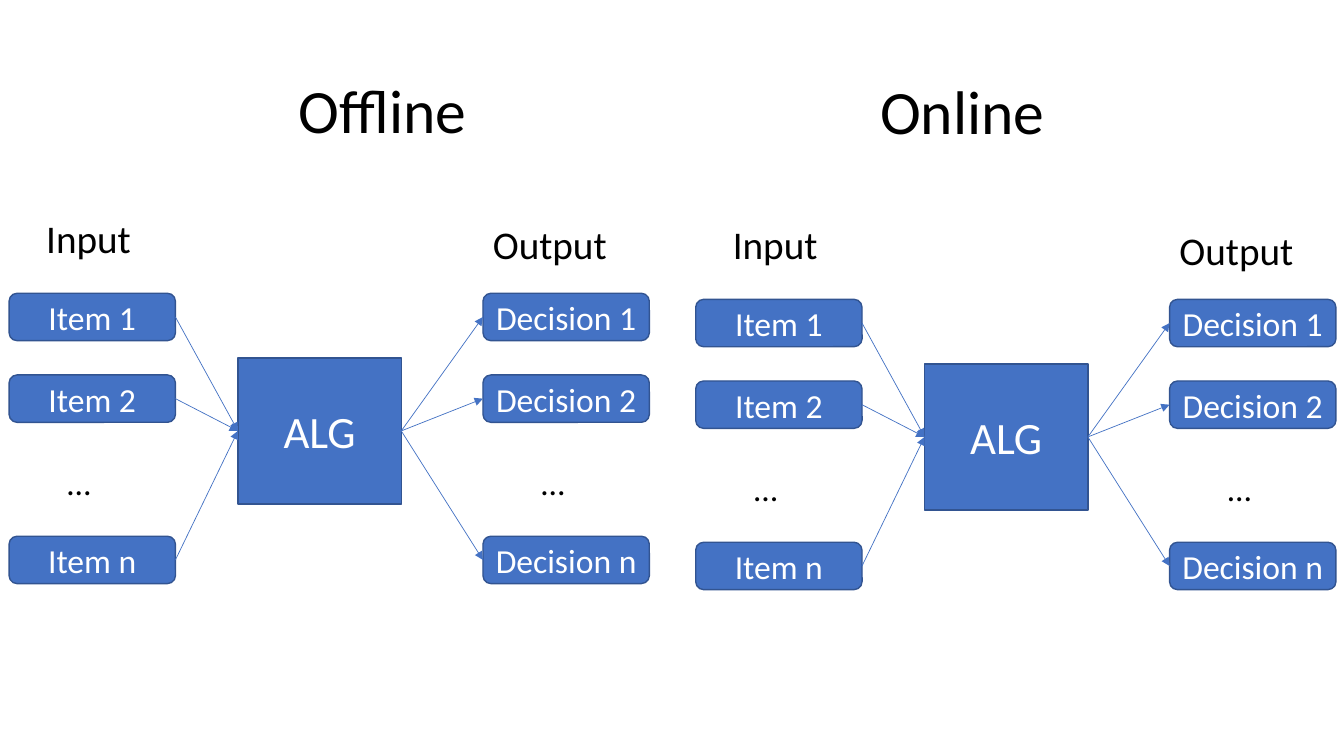
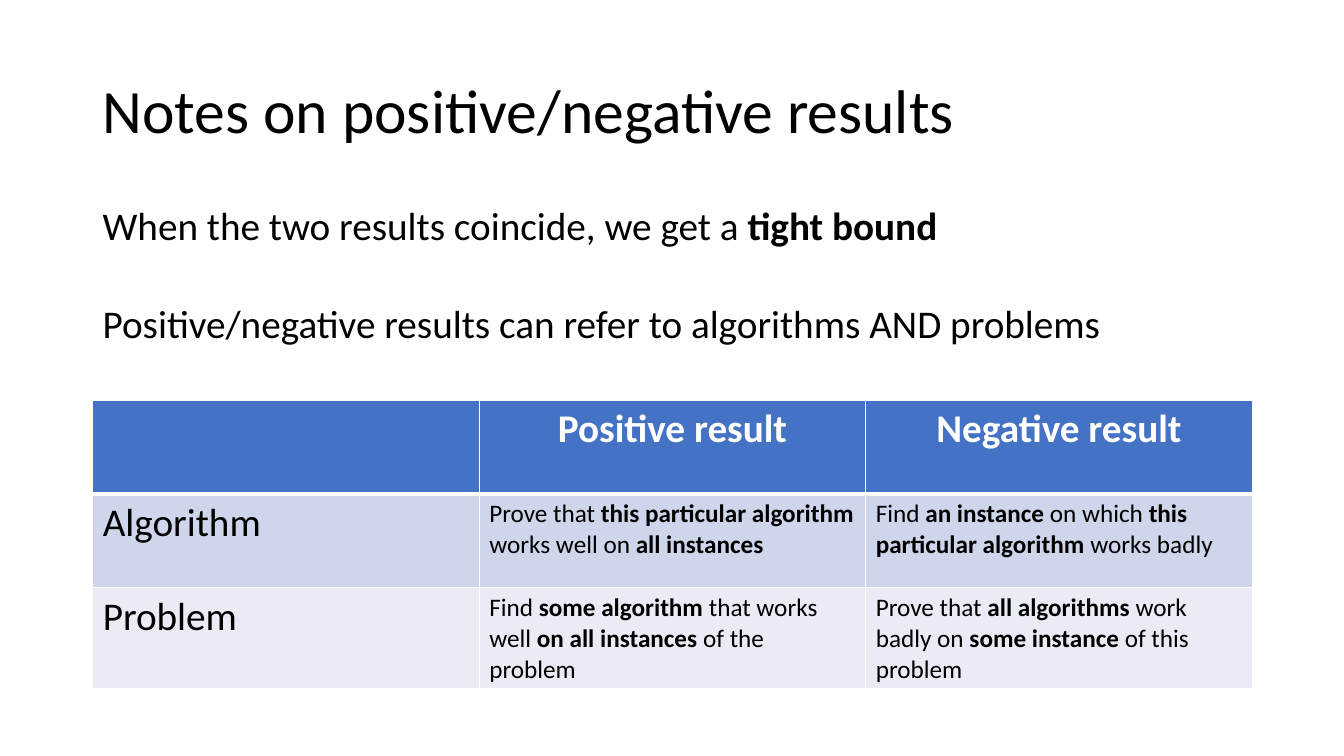
from lxml.etree import SubElement
from pptx import Presentation
from pptx.dml.color import RGBColor
from pptx.enum.shapes import MSO_CONNECTOR, MSO_SHAPE
from pptx.enum.text import MSO_ANCHOR, PP_ALIGN
from pptx.oxml import parse_xml
from pptx.oxml.ns import nsdecls, qn
from pptx.util import Inches, Pt

FONT = "Calibri"
BLACK = RGBColor(0x00, 0x00, 0x00)
WHITE = RGBColor(0xFF, 0xFF, 0xFF)
BLUE = RGBColor(0x44, 0x72, 0xC4)
DARK_BLUE = RGBColor(0x32, 0x54, 0x91)
BAND_DARK = RGBColor(0xCF, 0xD5, 0xEA)
BAND_LIGHT = RGBColor(0xE9, 0xEB, 0xF5)

MARGIN = 0.92
CONTENT_WIDTH = 11.5
LEFT_SIDE, RIGHT_SIDE = 1, 3
BOX_WIDTH, BOX_HEIGHT = 1.65, 0.47
BOX_TOPS = {"1": 2.91, "2": 3.72, "n": 5.32}
OUTPUT_LEFT = 4.79

RESULTS = [
    ("", "**Positive result**", "**Negative result**"),
    (
        "Algorithm",
        "Prove that **this particular algorithm **works well on **all instances**",
        "Find **an instance **on which **this particular algorithm** works badly",
    ),
    (
        "Problem",
        "Find **some algorithm **that works well **on all instances **of the problem",
        "Prove that **all algorithms **work badly on **some instance **of this problem",
    ),
]


def write(paragraph, text, size, color=BLACK, align=PP_ALIGN.LEFT):
    """Fill a paragraph; parts between double asterisks are bold."""
    paragraph.alignment = align
    for index, part in enumerate(text.split("**")):
        if part:
            run = paragraph.add_run()
            run.text = part
            run.font.name = FONT
            run.font.size = Pt(size)
            run.font.bold = index % 2 == 1
            run.font.color.rgb = color


def add_text(slide, text, left, top, width, height, size, wrap=True):
    shape = slide.shapes.add_textbox(
        Inches(left), Inches(top), Inches(width), Inches(height)
    )
    shape.text_frame.word_wrap = wrap
    write(shape.text_frame.paragraphs[0], text, size)
    return shape.text_frame


def add_title(slide, text, left, top, width, align=PP_ALIGN.LEFT):
    text_frame = add_text(slide, text, left, top, width, 1.45, 44)
    text_frame.vertical_anchor = MSO_ANCHOR.MIDDLE
    text_frame.paragraphs[0].line_spacing = 0.9
    text_frame.paragraphs[0].alignment = align


def add_box(slide, kind, text, left, top, width, height, size):
    shape = slide.shapes.add_shape(
        kind, Inches(left), Inches(top), Inches(width), Inches(height)
    )
    shape.shadow.inherit = False
    shape.fill.solid()
    shape.fill.fore_color.rgb = BLUE
    shape.line.color.rgb = DARK_BLUE
    shape.line.width = Pt(1)
    shape.text_frame.vertical_anchor = MSO_ANCHOR.MIDDLE
    write(shape.text_frame.paragraphs[0], text, size, WHITE, PP_ALIGN.CENTER)
    return shape


def add_arrow(slide, source, target):
    """Join the right side of source to the left side of target."""
    connector = slide.shapes.add_connector(MSO_CONNECTOR.STRAIGHT, 0, 0, 0, 0)
    connector.begin_connect(source, RIGHT_SIDE)
    connector.end_connect(target, LEFT_SIDE)
    connector.line.color.rgb = BLUE
    connector.line.width = Pt(0.5)
    SubElement(connector.line._get_or_add_ln(), qn("a:tailEnd"), type="triangle")
    SubElement(connector._element.spPr, qn("a:effectLst"))


def add_column(slide, name, left, top):
    """Add the boxes of one side of a diagram, with the dots between them."""
    boxes = [
        add_box(slide, MSO_SHAPE.ROUNDED_RECTANGLE, f"{name} {number}",
                left, top + box_top, BOX_WIDTH, BOX_HEIGHT, 24)
        for number, box_top in BOX_TOPS.items()
    ]
    add_text(slide, "…", left + 0.48, top + 4.53, 0.38, 0.5, 24)
    return boxes


def add_diagram(slide, left, top):
    algorithm = add_box(slide, MSO_SHAPE.RECTANGLE, "ALG",
                        left + 2.36, top + 3.55, 1.62, 1.45, 32)
    add_text(slide, "Input", left + 0.36, top + 2.08, 1.05, 0.57, 28, wrap=False)
    add_text(slide, "Output", left + OUTPUT_LEFT, top + 2.14, 1.34, 0.57, 28,
             wrap=False)
    items = add_column(slide, "Item", left + 0.09, top)
    decisions = add_column(slide, "Decision", left + OUTPUT_LEFT, top)
    for item in items:
        add_arrow(slide, item, algorithm)
    for decision in decisions:
        add_arrow(slide, algorithm, decision)


def format_cell(cell, fill, top_width, bottom_width):
    """Fill a cell and give it white borders, widths in points."""
    cell.fill.solid()
    cell.fill.fore_color.rgb = fill
    properties = cell._tc.get_or_add_tcPr()
    widths = {"lnL": 1, "lnR": 1, "lnT": top_width, "lnB": bottom_width}
    for index, (tag, width) in enumerate(widths.items()):
        border = parse_xml(
            f'<a:{tag} {nsdecls("a")} w="{Pt(width)}"><a:solidFill>'
            f'<a:srgbClr val="{WHITE}"/></a:solidFill></a:{tag}>'
        )
        properties.insert(index, border)


def add_results_table(slide, left, top, width, row_height):
    table = slide.shapes.add_table(
        len(RESULTS), len(RESULTS[0]), Inches(left), Inches(top),
        Inches(width), Inches(row_height * len(RESULTS))
    ).table
    fills = (BLUE, BAND_DARK, BAND_LIGHT)
    for row_index, (texts, fill) in enumerate(zip(RESULTS, fills)):
        is_header = row_index == 0
        for column_index, text in enumerate(texts):
            cell = table.cell(row_index, column_index)
            format_cell(cell, fill, 3 if row_index == 1 else 1,
                        3 if is_header else 1)
            write(
                cell.text_frame.paragraphs[0], text,
                28 if is_header or column_index == 0 else 18,
                WHITE if is_header else BLACK,
                PP_ALIGN.CENTER if is_header else PP_ALIGN.LEFT,
            )


def build_comparison_slide(slide):
    half = CONTENT_WIDTH / 2
    add_title(slide, "Offline", MARGIN, 0.4, half, PP_ALIGN.CENTER)
    add_title(slide, "Online", MARGIN + half, 0.41, half, PP_ALIGN.CENTER)
    add_diagram(slide, 0, 0)
    add_diagram(slide, 6.81, 0.06)


def build_results_slide(slide):
    add_title(slide, "Notes on positive/negative results", MARGIN, 0.4, CONTENT_WIDTH)
    body = add_text(
        slide, "When the two results coincide, we get a **tight bound**",
        MARGIN, 2, CONTENT_WIDTH, 1.8, 28
    )
    second = body.add_paragraph()
    write(second, "Positive/negative results can refer to algorithms AND problems", 28)
    second.space_before = Pt(40)
    for paragraph in body.paragraphs:
        paragraph.line_spacing = 0.9
    add_results_table(slide, MARGIN, 3.97, CONTENT_WIDTH, 0.93)


def main():
    presentation = Presentation()
    presentation.slide_width = Inches(13.33)
    presentation.slide_height = Inches(7.5)
    blank_layout = presentation.slide_layouts[6]
    for build_slide in (build_comparison_slide, build_results_slide):
        build_slide(presentation.slides.add_slide(blank_layout))
    presentation.save("out.pptx")


if __name__ == "__main__":
    main()
